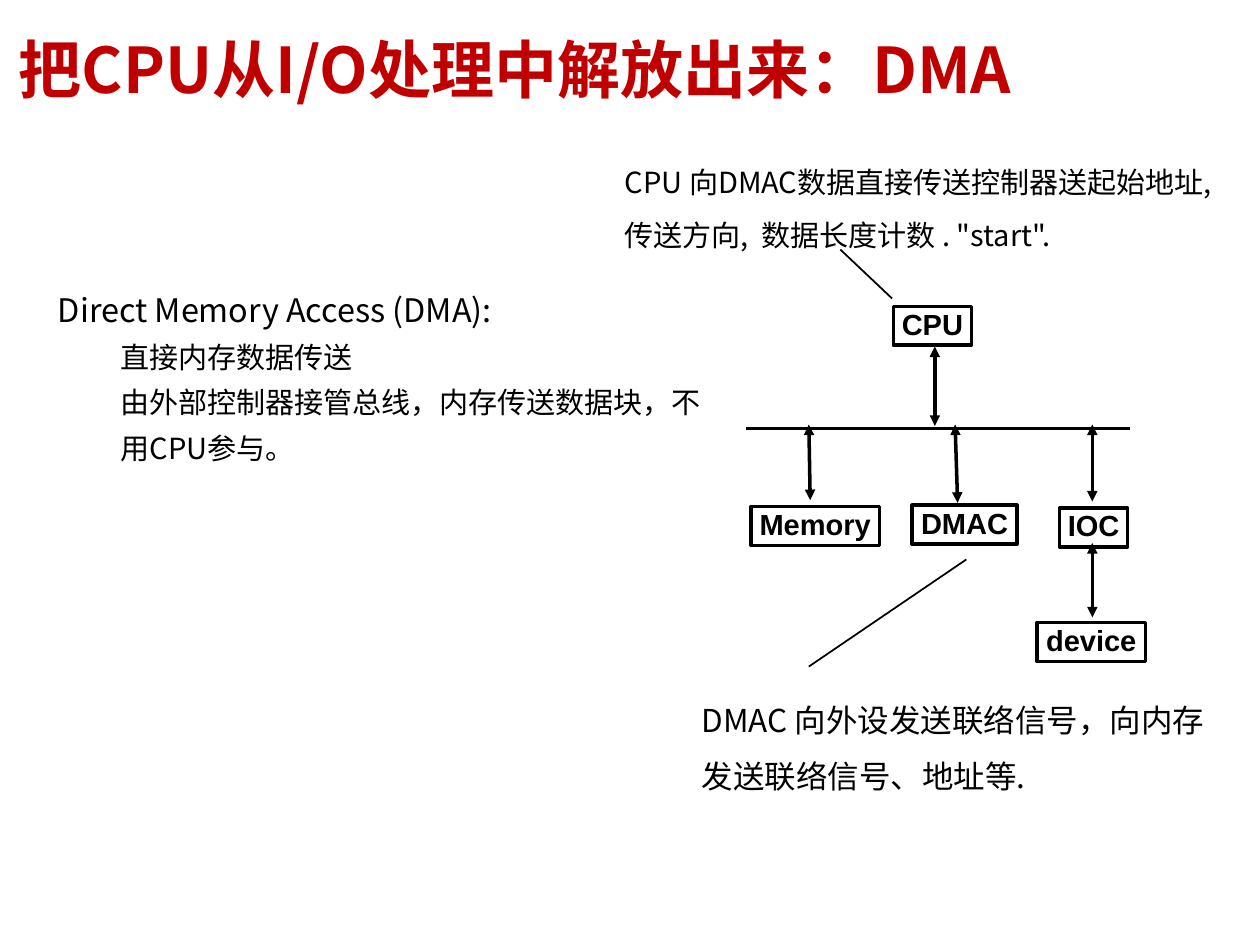
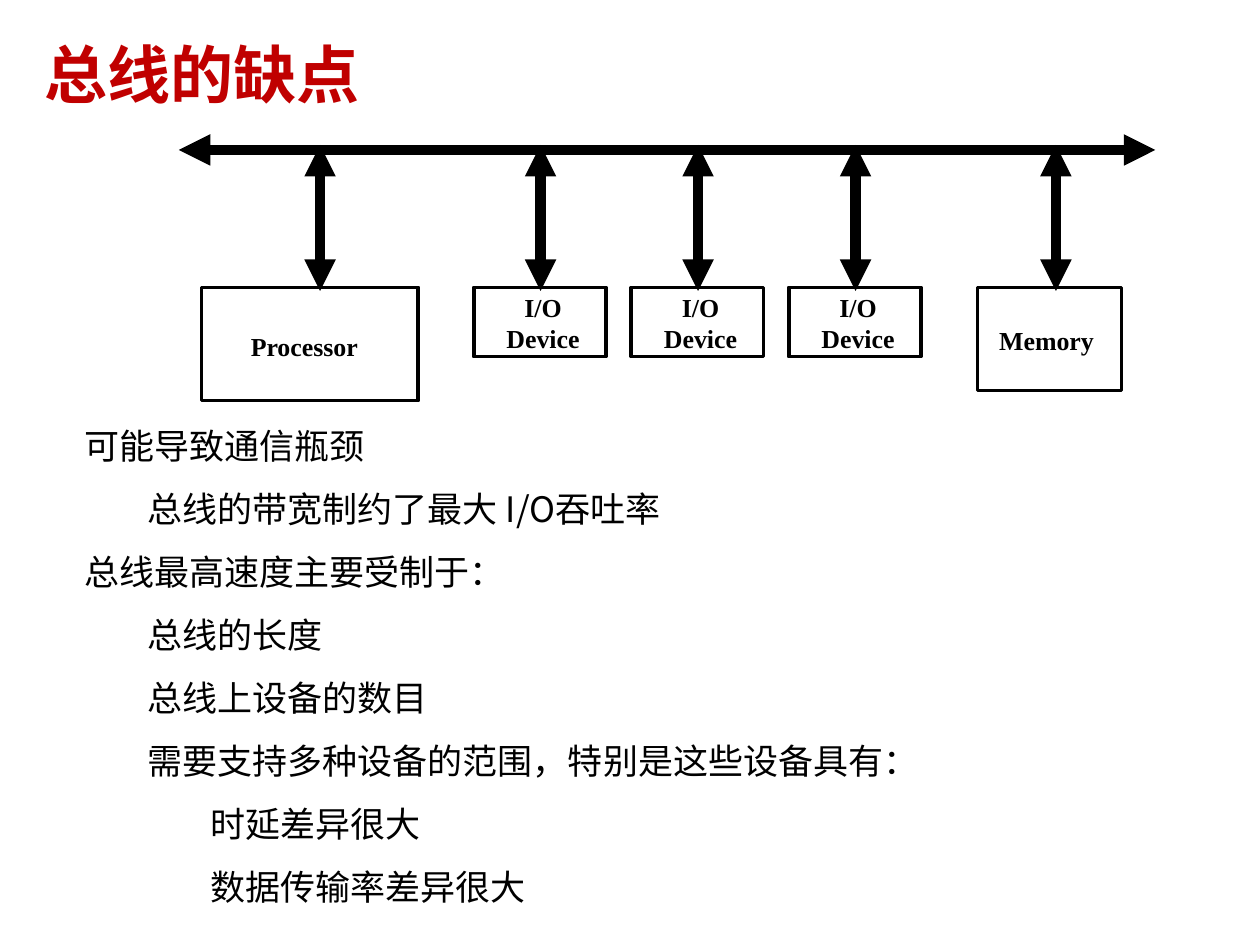
from lxml.etree import SubElement
from pptx import Presentation
from pptx.dml.color import RGBColor
from pptx.enum.shapes import MSO_CONNECTOR, MSO_SHAPE
from pptx.enum.text import MSO_ANCHOR, MSO_AUTO_SIZE, PP_ALIGN
from pptx.oxml.ns import qn
from pptx.util import Pt

RED = RGBColor(0xC0, 0x00, 0x00)
BLACK = RGBColor(0x00, 0x00, 0x00)
CJK_FONT = "Noto Sans CJK SC"
LABEL_FONT = "Arial"
SERIF_FONT = "Times New Roman"
LEVEL_INDENT = 36


def write_text(shape, paragraphs, size, font=CJK_FONT, color=BLACK, bold=False,
               align=PP_ALIGN.LEFT, spacing=1.0, margins=(0, 0), wrap=True,
               anchor=MSO_ANCHOR.TOP, sub_size=None):
    """Fill a shape with (level, text) paragraphs; sub_size is for levels above 0."""
    frame = shape.text_frame
    frame.auto_size = MSO_AUTO_SIZE.NONE
    frame.word_wrap = wrap
    frame.vertical_anchor = anchor
    frame.margin_left = frame.margin_right = Pt(margins[0])
    frame.margin_top = frame.margin_bottom = Pt(margins[1])
    for index, (level, text) in enumerate(paragraphs):
        paragraph = frame.paragraphs[0] if index == 0 else frame.add_paragraph()
        paragraph.level = level
        paragraph.alignment = align
        paragraph.line_spacing = spacing
        paragraph.space_before = paragraph.space_after = Pt(0)
        properties = paragraph._p.get_or_add_pPr()
        properties.set("marL", str(Pt(level * LEVEL_INDENT)))
        properties.set("indent", "0")
        SubElement(properties, qn("a:buNone"))
        run = paragraph.add_run()
        run.text = text
        run.font.name = font
        run.font.size = Pt(sub_size if level and sub_size else size)
        run.font.bold = bold
        run.font.color.rgb = color
        east_asian = SubElement(run._r.get_or_add_rPr(), qn("a:ea"))
        east_asian.set("typeface", font)


def place(shape, left, top, width, height):
    shape.left, shape.top = Pt(left), Pt(top)
    shape.width, shape.height = Pt(width), Pt(height)


def add_text_box(slide, box, paragraphs, size, **text_format):
    shape = slide.shapes.add_textbox(*map(Pt, box))
    write_text(shape, paragraphs, size, **text_format)


def add_frame(slide, left, top, width, height):
    """Add an unfilled rectangle with a black outline."""
    shape = slide.shapes.add_shape(
        MSO_SHAPE.RECTANGLE, Pt(left), Pt(top), Pt(width), Pt(height))
    shape.shadow.inherit = False
    shape.fill.background()
    shape.line.color.rgb = BLACK
    shape.line.width = Pt(2)
    return shape


def add_line(slide, x1, y1, x2, y2, width=2, arrows=True):
    line = slide.shapes.add_connector(
        MSO_CONNECTOR.STRAIGHT, Pt(x1), Pt(y1), Pt(x2), Pt(y2))
    line.line.color.rgb = BLACK
    line.line.width = Pt(width)
    if arrows:
        outline = line.line._get_or_add_ln()
        for end in ("a:headEnd", "a:tailEnd"):
            SubElement(outline, qn(end)).set("type", "triangle")
    SubElement(line._element.spPr, qn("a:effectLst"))


def add_content_slide(presentation, title, title_box, items, body_box, **body_format):
    """Add a slide with a red title and an indented list without bullets."""
    slide = presentation.slides.add_slide(presentation.slide_layouts[1])
    heading, body = slide.placeholders
    place(heading, *title_box)
    write_text(heading, [(0, title)], 36, color=RED, bold=True)
    place(body, *body_box)
    write_text(body, items, **body_format)
    return slide


def draw_dma_diagram(slide, left, top):
    """Draw the bus with its units and the two pointers to the notes."""
    units = [
        ("CPU", 84.5, 0, 44.6),
        ("Memory", 3.1, 114.4, 73.4),
        ("DMAC", 95.3, 113.7, 59.8),
        ("IOC", 179.5, 115.2, 38.9),
        ("device", 166.6, 180.7, 61.9),
    ]
    for name, x, y, width in units:
        frame = add_frame(slide, left + x, top + y, width, 22.3)
        write_text(frame, [(0, name)], 16.6, font=LABEL_FONT, bold=True,
                   align=PP_ALIGN.CENTER, spacing=0.92, margins=(4.3, 2.2),
                   wrap=False, anchor=MSO_ANCHOR.MIDDLE)

    links = [
        (108.2, 23, 108.2, 68.4),
        (36.2, 67.6, 37, 110.8),
        (119.8, 67.6, 121.2, 112.3),
        (198.2, 67.6, 198.2, 111.6),
        (198.2, 135.3, 198.2, 177.8),
    ]
    bus = (0.2, 69.8, 219.8, 69.8)
    pointers = [(83.8, -4.4, 54.2, -32.4), (126.2, 144.7, 36.2, 205.9)]
    styles = [(links, 2, True), ([bus], 2, False), (pointers, 1, False)]
    for lines, width, arrows in styles:
        for x1, y1, x2, y2 in lines:
            add_line(slide, left + x1, top + y1, left + x2, top + y2, width, arrows)


def draw_shared_bus(slide, left, top, width):
    """Draw a thick bus with units hanging below it."""
    add_line(slide, left, top, left + width, top, width=6)
    # name, frame (x, width, height), label (x offset, y offset, width), link x
    units = [("Processor", (13, 123.8, 64.8), (21.6, 21.6, 80.6), 80.7)]
    for index in range(3):
        shift = 90 * index
        units.append(("I/O Device", (168.5 + shift, 75.6, 39.6),
                      (2.2, -0.7, 74.9), 206.7 + shift))
    units.append(("Memory", (456.5, 82.1, 59), (5.8, 18, 72.7), 501.2))

    unit_top = top + 78.5
    for name, (x, unit_width, height), (dx, dy, label_width), link_x in units:
        add_frame(slide, left + x, unit_top, unit_width, height)
        align = PP_ALIGN.CENTER if name == "I/O Device" else PP_ALIGN.LEFT
        label_box = (left + x + dx, unit_top + dy, label_width, height - 2 * dy)
        add_text_box(slide, label_box, [(0, name)], 14.8, font=SERIF_FONT,
                     bold=True, align=align, margins=(6.5, 3))
        add_line(slide, left + link_x, top - 2.9, left + link_x, top + 80.6, width=6)


def build_dma_slide(presentation):
    items = [
        (0, "Direct Memory Access (DMA):"),
        (1, "直接内存数据传送"),
        (1, "由外部控制器接管总线，内存传送数据块，不用CPU参与。"),
    ]
    slide = add_content_slide(
        presentation, "把CPU从I/O处理中解放出来：DMA", (10.8, 17.3, 644.4, 46.1),
        items, (33.1, 159.1, 368.6, 112.3), size=18.5, sub_size=16.6, spacing=1.3)
    draw_dma_diagram(slide, 426, 175)
    notes = [
        ((352.8, 82.1, 360.7, 60.5), 16.6,
         ["CPU 向DMAC数据直接传送控制器送起始地址,",
          "传送方向,  数据长度计数 . \"start\"."]),
        ((396.7, 387.4, 309.6, 65.5), 18,
         ["DMAC 向外设发送联络信号，向内存", "发送联络信号、地址等."]),
    ]
    for box, size, lines in notes:
        add_text_box(slide, box, [(0, line) for line in lines], size,
                     spacing=1.5, margins=(4.3, 2.2), wrap=False)


def build_bus_slide(presentation):
    items = [
        (0, "可能导致通信瓶颈"),
        (1, "总线的带宽制约了最大 I/O吞吐率"),
        (0, "总线最高速度主要受制于："),
        (1, "总线的长度"),
        (1, "总线上设备的数目"),
        (1, "需要支持多种设备的范围，特别是这些设备具有："),
        (2, "时延差异很大"),
        (2, "数据传输率差异很大"),
    ]
    slide = add_content_slide(
        presentation, "总线的缺点", (25.2, 20.2, 271.4, 46.1),
        items, (48.2, 230.4, 645.1, 286.6), size=20, spacing=1.5)
    draw_shared_bus(slide, 102.2, 85.7, 558)


def main():
    presentation = Presentation()
    presentation.slide_width = Pt(720)
    presentation.slide_height = Pt(540)
    build_dma_slide(presentation)
    build_bus_slide(presentation)
    presentation.save("out.pptx")


if __name__ == "__main__":
    main()
